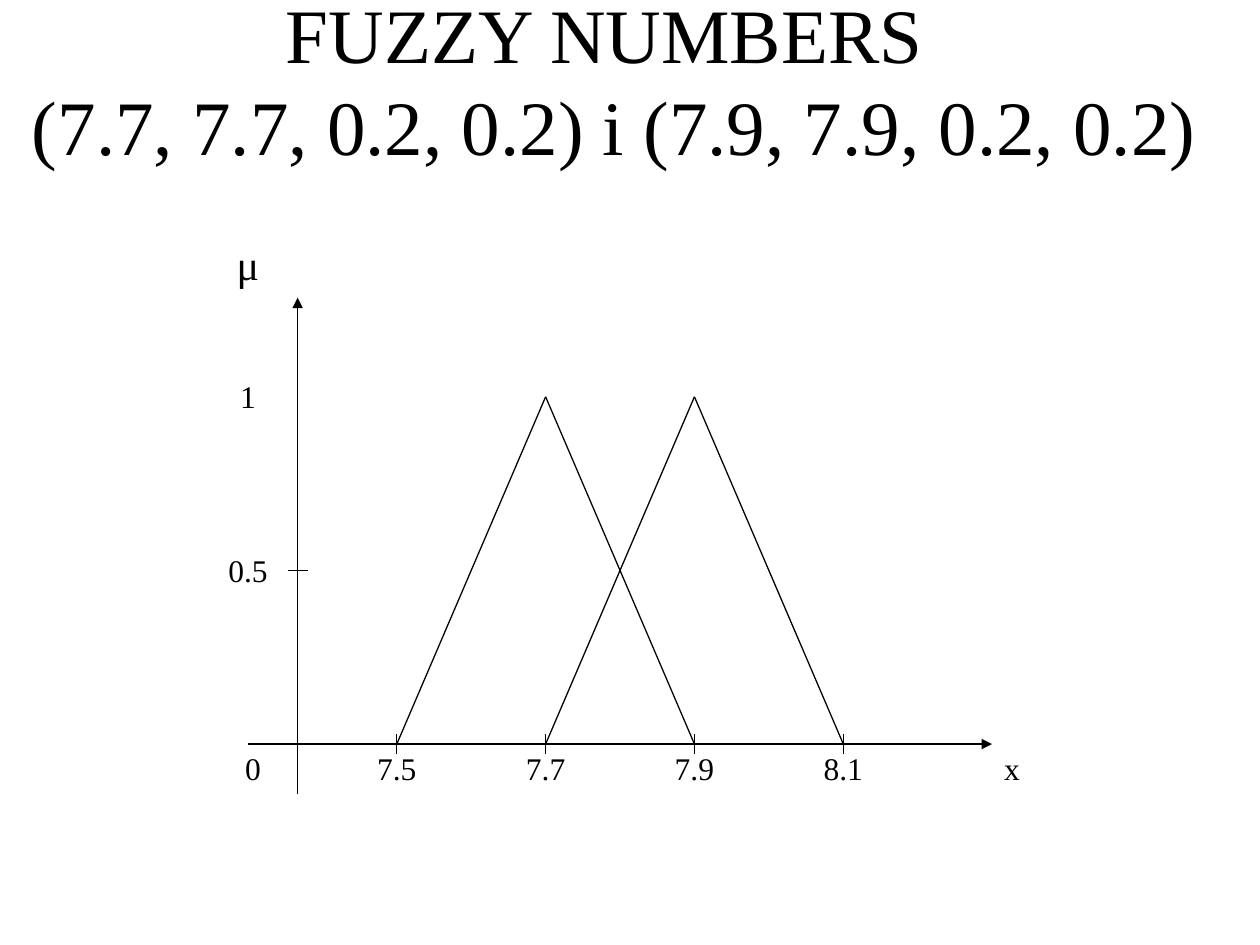
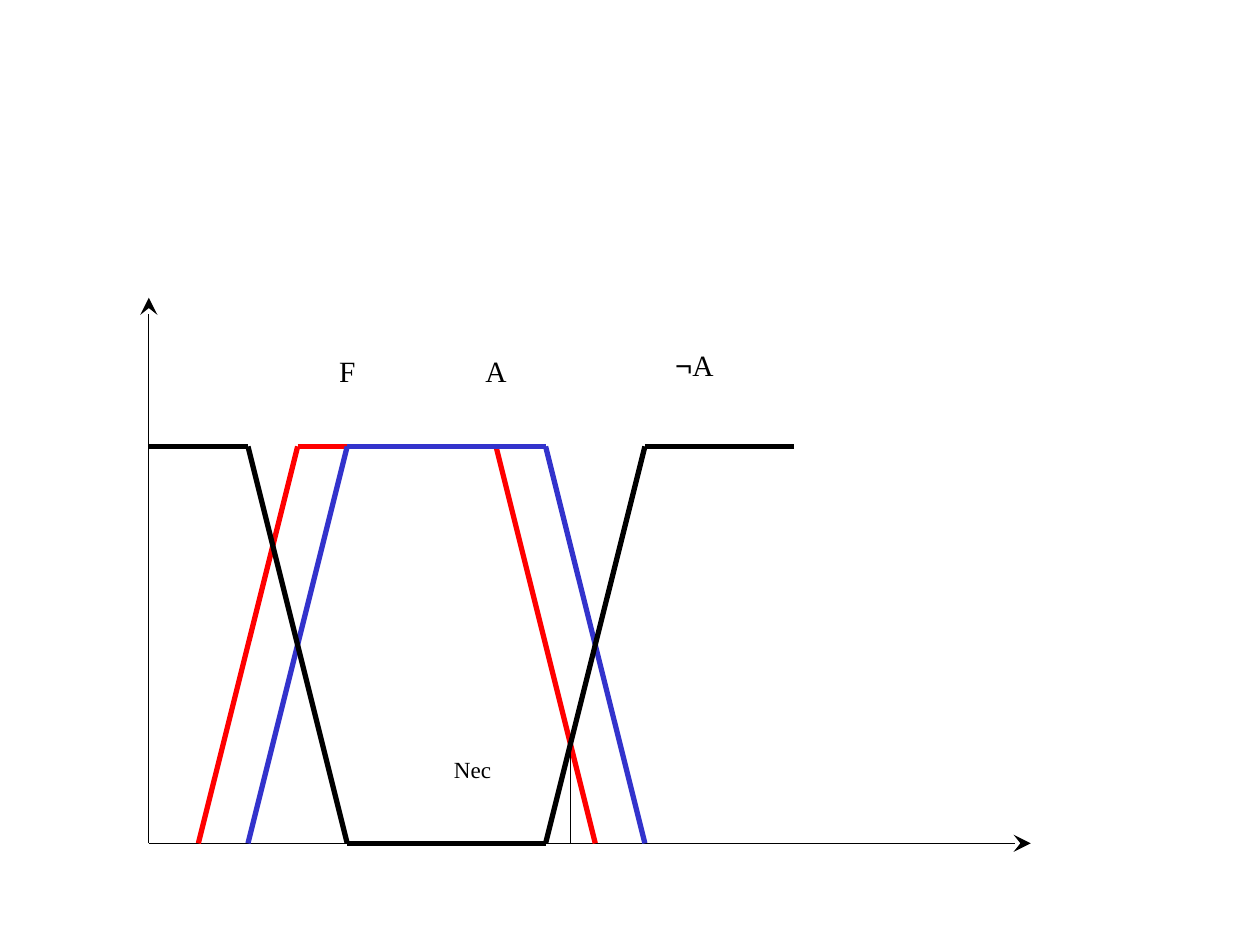
from itertools import pairwise

from lxml import etree
from pptx import Presentation
from pptx.dml.color import RGBColor
from pptx.enum.shapes import MSO_CONNECTOR
from pptx.enum.text import MSO_ANCHOR, PP_ALIGN
from pptx.oxml.ns import qn
from pptx.util import Inches, Pt

LINE = MSO_CONNECTOR.STRAIGHT
MID, TOP = MSO_ANCHOR.MIDDLE, MSO_ANCHOR.TOP
LEFT, MIDDLE = PP_ALIGN.LEFT, PP_ALIGN.CENTER

COLORS = {"ink": "000000", "red": "FF0000", "blue": "3333CC"}
SERIF, SANS = "Times New Roman", "Arial"
THIN, THICK = 0.75, 3
CELL = 1 / 2.54  # both charts sit on a one-centimetre grid

# Slide 1, in grid cells
TITLE = ["FUZZY NUMBERS ", "(7.7, 7.7, 0.2, 0.2) i (7.9, 7.9, 0.2, 0.2)"]
TICKS = ["7.5", "7.7", "7.9", "8.1"]
TICK_X, TICK_GAP, TICK = 8, 3, 0.2
AXIS_X, BASE, PEAK = 6, 15, 8
HALF = (BASE + PEAK) / 2
TAG = 0.8
TAGS = [("0", 4.7, 15.1), ("1", 4.6, 7.6), ("0.5", 4.6, 11.1), ("x", 20, 15.1)]

# Slide 2, in grid cells
FLOOR, ROOF = 17, 9
CURVES = [
    ("red", [(4, FLOOR), (6, ROOF), (10, ROOF), (12, FLOOR)]),
    ("blue", [(5, FLOOR), (7, ROOF), (11, ROOF), (13, FLOOR)]),
    ("ink", [(3, ROOF), (5, ROOF), (7, FLOOR), (11, FLOOR), (13, ROOF), (16, ROOF)]),
]
NAMES = [
    (6, [("F", SERIF)], 1),
    (9, [("A", SERIF)], 1),
    (13, [("¬", SANS), ("A", SERIF)], 0.8),
]


def grid(*cells):
    return [Inches(c * CELL) for c in cells]


def draw(slide, start, end, color="ink", width=THIN, head=None, size="med"):
    line = slide.shapes.add_connector(LINE, *grid(*start, *end))
    line.line.color.rgb = RGBColor.from_string(COLORS[color])
    line.line.width = Pt(width)
    props = line._element.spPr
    if head:
        etree.SubElement(props.find(qn("a:ln")), qn("a:tailEnd"),
                         type=head, w=size, len=size)
    etree.SubElement(props, qn("a:effectLst"))


def write(slide, box, lines, size, align=MIDDLE, inset=(0, 0), anchor=TOP,
          wrap=False, space=1):
    """Fill a box with lines, each a list of (text, font) runs."""
    frame = slide.shapes.add_textbox(*box).text_frame
    frame.word_wrap = wrap
    frame.vertical_anchor = anchor
    frame.margin_left = frame.margin_right = Inches(inset[0])
    frame.margin_top = frame.margin_bottom = Inches(inset[1])
    para = frame.paragraphs[0]
    para.alignment = align
    para.line_spacing = space
    for i, runs in enumerate(lines):
        if i:
            para.add_line_break()
        for text, font in runs:
            run = para.add_run()
            run.text = text
            run.font.name = font
            run.font.size = Pt(size)
            run.font.color.rgb = RGBColor.from_string(COLORS["ink"])


def numbers(slide):
    write(slide, [Inches(v) for v in (0, 0, 9.75, 1.25)],
          [[(text, SERIF)] for text in TITLE], 44,
          inset=(0.1, 0.05), anchor=MID, wrap=True)

    draw(slide, (AXIS_X, 16), (AXIS_X, 6), head="triangle")
    draw(slide, (5, BASE), (20, BASE), head="triangle")
    draw(slide, (AXIS_X - TICK, HALF), (AXIS_X + TICK, HALF))

    marks = [TICK_X + i * TICK_GAP for i in range(len(TICKS))]
    for x in marks:
        draw(slide, (x, BASE - TICK), (x, BASE + TICK))
    for a, b, c in zip(marks, marks[1:], marks[2:]):
        draw(slide, (a, BASE), (b, PEAK))
        draw(slide, (b, PEAK), (c, BASE))

    tags = TAGS + [(t, x - TAG / 2, 15.1) for t, x in zip(TICKS, marks)]
    for text, x, y in tags:
        write(slide, grid(x, y, TAG, TAG), [[(text, SERIF)]], 18)
    write(slide, grid(4.5, 4.8, 1, 1.2), [[("μ", SERIF)]], 24)


def degrees(slide):
    draw(slide, (3, FLOOR), (3, 6), head="stealth", size="lg")
    draw(slide, (3, FLOOR), (20.78, FLOOR), head="stealth", size="lg")
    for color, points in CURVES:
        for start, end in pairwise(points):
            draw(slide, start, end, color, THICK)
    draw(slide, (11.5, 15), (11.5, FLOOR))

    pad = (0.1, 0.05)
    for x, runs, space in NAMES:
        write(slide, grid(x, 7, 2, 1), [runs], 16.8,
              inset=pad, wrap=True, space=space)
    write(slide, grid(8.9, 15.1, 2.3, 0.86), [[("Nec", SERIF)]], 13.2,
          align=LEFT, inset=pad, wrap=True)


def main():
    deck = Presentation()
    deck.slide_width, deck.slide_height = Inches(10), Inches(7.5)
    for build in (numbers, degrees):
        build(deck.slides.add_slide(deck.slide_layouts[6]))
    deck.save("out.pptx")


if __name__ == "__main__":
    main()
